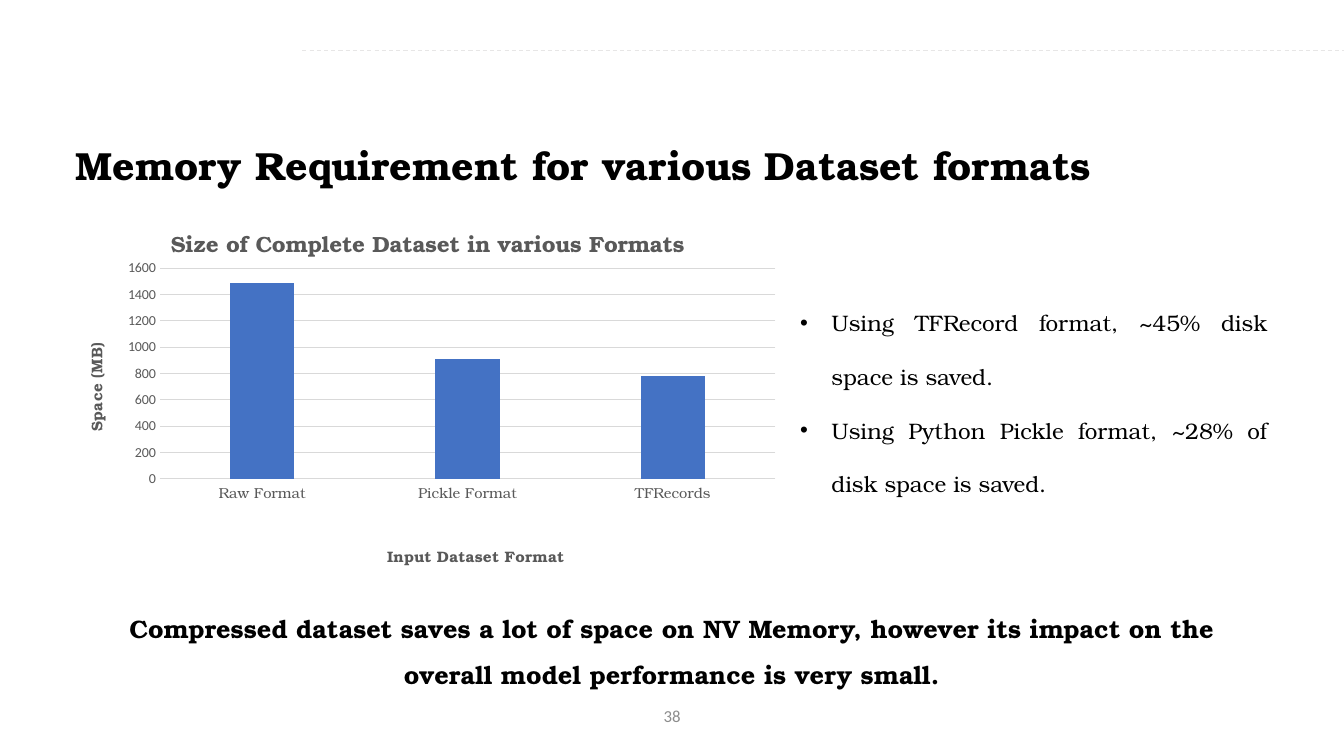
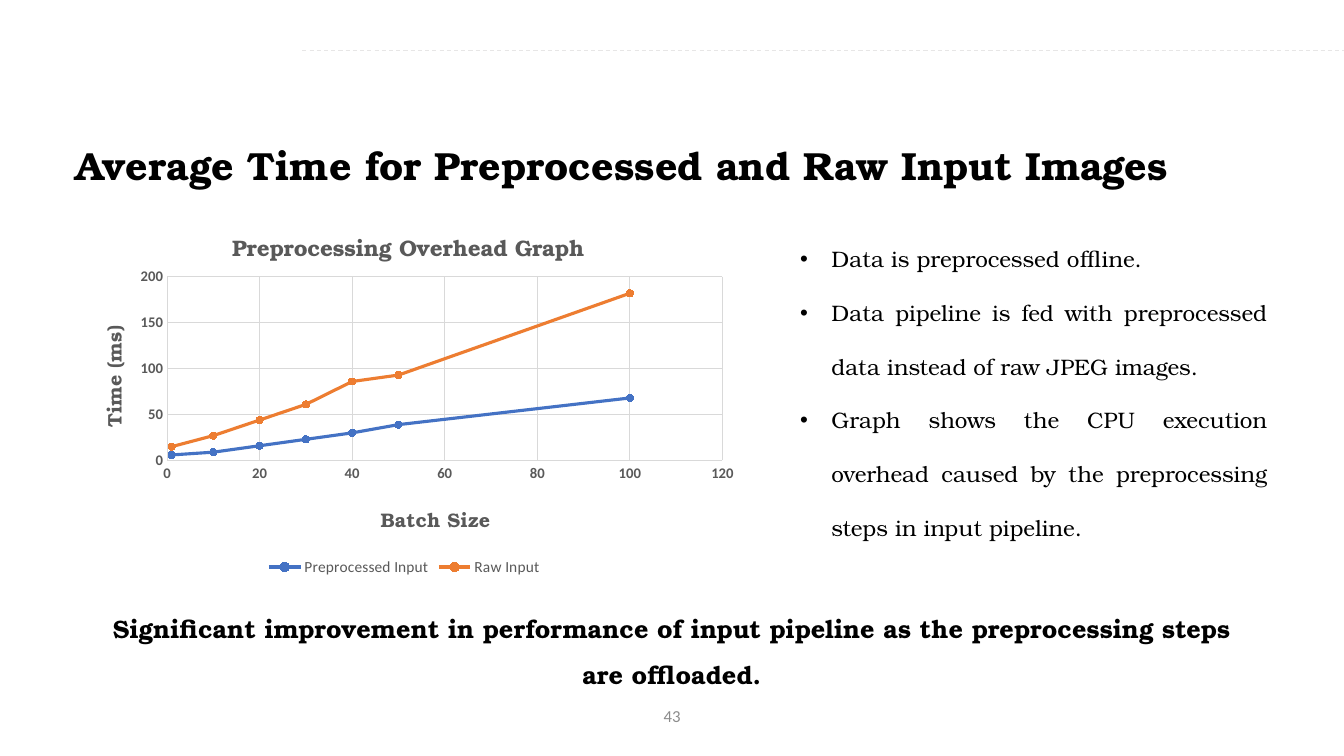
from lxml import etree
from pptx import Presentation
from pptx import util as u
from pptx.chart import data
from pptx.dml.color import RGBColor
from pptx.enum import chart as charts
from pptx.enum import dml, shapes, text
from pptx.oxml import ns

BLACK, GRAY, PALE = "000000", "595959", "D9D9D9"
RULE, NUMBER = "E7E6E6", "8C8C8C"
BLUE, ORANGE = "4472C4", "ED7D31"
SERIF, SANS = "TeX Gyre Bonum", "Calibri"


def color(value):
    return RGBColor.from_string(value)


def box(left, top, width, height):
    return u.Cm(left), u.Cm(top), u.Cm(width), u.Cm(height)


def set_layout(parent, **fractions):
    """Place a chart part by fractions (x, y, w, h) of the chart."""
    layout = parent.find(ns.qn("c:layout"))
    if layout is None:
        layout = etree.Element(ns.qn("c:layout"))
        parent.insert(0, layout)
    manual = etree.SubElement(layout, ns.qn("c:manualLayout"))
    settings = {"layoutTarget": "inner"} if "w" in fractions else {}
    settings.update(xMode="edge", yMode="edge", **fractions)
    for name, value in settings.items():
        etree.SubElement(manual, ns.qn("c:" + name)).set("val", str(value))


class Deck:
    """Holds the shared style and the current slide."""

    def __init__(self):
        self.presentation = Presentation()
        self.presentation.slide_width = u.Cm(33.87)
        self.presentation.slide_height = u.Cm(19.05)
        self.slide = None

    # Text
    def font(self, font, size, hex_color=BLACK, bold=False, name=SERIF):
        font.name, font.size, font.bold = name, u.Pt(size), bold
        font.color.rgb = color(hex_color)

    def add_text(self, frame, lines, size, align, spacing=1.0, **style):
        frame.word_wrap = True
        frame.auto_size = text.MSO_AUTO_SIZE.NONE
        frame.vertical_anchor = text.MSO_ANCHOR.TOP
        for index, line in enumerate(lines):
            paragraph = frame.add_paragraph() if index else frame.paragraphs[0]
            paragraph.alignment = align
            paragraph.line_spacing = spacing
            paragraph.space_before = u.Pt(0)
            run = paragraph.add_run()
            run.text = line
            self.font(run.font, size, **style)

    def move(self, shape, position):
        shape.left, shape.top, shape.width, shape.height = position

    def text_box(self, position, line, size, **style):
        shape = self.slide.shapes.add_textbox(*position)
        self.add_text(shape.text_frame, [line], size, text.PP_ALIGN.CENTER, **style)

    # Slide frame: rule, title, conclusion and number
    def new_slide(self, title, conclusion, number):
        layout = self.presentation.slide_layouts[1]
        self.slide = self.presentation.slides.add_slide(layout)
        self.rule()
        shape = self.slide.shapes.title
        self.move(shape, box(1.65, 1.65, 30.12, 2.74))
        self.add_text(shape.text_frame, [title], 28, text.PP_ALIGN.JUSTIFY,
                      spacing=2.5, bold=True)
        self.text_box(box(1.98, 14.96, 29.9, 2.44), conclusion, 18,
                      spacing=1.5, bold=True)
        self.text_box(box(13.13, 17.65, 7.62, 1.02), number, 12,
                      hex_color=NUMBER, name=SANS)

    def rule(self):
        connector = self.slide.shapes.add_connector(
            shapes.MSO_CONNECTOR.STRAIGHT, u.Cm(7.62), u.Cm(1.27),
            self.presentation.slide_width, u.Cm(1.27))
        connector.line.color.rgb = color(RULE)
        connector.line.width = u.Pt(0.75)
        connector.line.dash_style = dml.MSO_LINE.DASH
        etree.SubElement(connector._element.spPr, ns.qn("a:effectLst"))

    def bullets(self, top, height, lines):
        shape = self.slide.placeholders[1]
        self.move(shape, box(19.91, top, 12.29, height))
        self.add_text(shape.text_frame, lines, 16, text.PP_ALIGN.JUSTIFY, spacing=2.0)
        indent = u.Cm(0.79)
        for paragraph in shape.text_frame.paragraphs:
            properties = paragraph._p.get_or_add_pPr()
            properties.set("marL", str(indent))
            properties.set("indent", str(-indent))

    # Charts
    def chart(self, kind, position, chart_data, title, title_at, plot_at):
        chart = self.slide.shapes.add_chart(kind, *position, chart_data).chart
        self.font(chart.font, 10, name=SANS)
        chart.has_title = True
        chart.has_legend = False
        self.chart_title(chart.chart_title, title, 16, title_at)
        set_layout(chart._chartSpace.find(".//" + ns.qn("c:plotArea")), **plot_at)
        chart.plots[0].vary_by_categories = False
        return chart

    def chart_title(self, title, line, size, place):
        run = title.text_frame.paragraphs[0].add_run()
        run.text = line
        self.font(run.font, size, GRAY, bold=True)
        set_layout(title._element, **place)

    def axis(self, axis, title, title_size, place, vertical=False, grid=True, **labels):
        axis.has_title = True
        self.chart_title(axis.axis_title, title, title_size, place)
        axis.major_tick_mark = axis.minor_tick_mark = charts.XL_TICK_MARK.NONE
        self.font(axis.tick_labels.font, hex_color=GRAY, **labels)
        axis.has_major_gridlines = grid
        lines = [axis.major_gridlines.format.line] if grid else []
        if vertical:
            axis.axis_title.text_frame._txBody.bodyPr.set("rot", "-5400000")
            axis.format.line.fill.background()
        else:
            lines.append(axis.format.line)
        for line in lines:
            line.color.rgb = color(PALE)
            line.width = u.Pt(0.75)

    def scale(self, axis, maximum, step):
        axis.minimum_scale, axis.maximum_scale = 0, maximum
        axis.major_unit = step

    def line_series(self, series, hex_color):
        series.smooth = False
        series.format.line.color.rgb = color(hex_color)
        series.format.line.width = u.Pt(2.25)
        marker = series.marker
        marker.style, marker.size = charts.XL_MARKER_STYLE.CIRCLE, 5
        marker.format.fill.solid()
        marker.format.fill.fore_color.rgb = color(hex_color)
        marker.format.line.color.rgb = color(hex_color)

    def legend(self, chart):
        chart.has_legend = True
        chart.legend.position = charts.XL_LEGEND_POSITION.BOTTOM
        chart.legend.include_in_layout = False
        self.font(chart.legend.font, 11, GRAY, name=SANS)


def memory_slide(deck):
    deck.new_slide(
        "Memory Requirement for various Dataset formats",
        "Compressed dataset saves a lot of space on NV Memory, however its "
        "impact on the overall model performance is very small.", "38")
    sizes = data.CategoryChartData()
    sizes.categories = ["Raw Format", "Pickle Format", "TFRecords"]
    sizes.add_series("Series 1", [1490, 910, 780])
    chart = deck.chart(
        charts.XL_CHART_TYPE.COLUMN_CLUSTERED, box(1.65, 5.11, 18.26, 9.32), sizes,
        "Size of Complete Dataset in various Formats", dict(x=0.14, y=0.05),
        dict(x=0.13, y=0.18, w=0.85, h=0.58))
    deck.axis(chart.category_axis, "Input Dataset Format", 11, dict(x=0.44, y=0.93),
              grid=False, size=10.5)
    deck.axis(chart.value_axis, "Space (MB)", 11, dict(x=0.02, y=0.38),
              vertical=True, size=10, name=SANS)
    deck.scale(chart.value_axis, 1600, 200)
    plot = chart.plots[0]
    plot.gap_width, plot.overlap = 219, -27
    fill = plot.series[0].format.fill
    fill.solid()
    fill.fore_color.rgb = color(BLUE)
    deck.bullets(6.99, 5.54, [
        "Using TFRecord format, ~45% disk space is saved.",
        "Using Python Pickle format, ~28% of disk space is saved."])


def time_slide(deck):
    deck.new_slide(
        "Average Time for Preprocessed and Raw Input Images",
        "Significant improvement in performance of input pipeline as the "
        "preprocessing steps are offloaded.", "43")
    batch_sizes = [1, 10, 20, 30, 40, 50, 100]
    times = data.XyChartData()
    for name, values in (("Preprocessed Input", [6, 9, 16, 23, 30, 39, 68]),
                         ("Raw Input", [15, 27, 44, 61, 86, 93, 182])):
        series = times.add_series(name)
        for batch_size, value in zip(batch_sizes, values):
            series.add_data_point(batch_size, value)
    chart = deck.chart(
        charts.XL_CHART_TYPE.XY_SCATTER_LINES, box(1.65, 5.18, 17.07, 9.45), times,
        "Preprocessing Overhead Graph", dict(x=0.24, y=0.05),
        dict(x=0.15, y=0.19, w=0.82, h=0.49))
    labels = dict(size=10.5, bold=True, name=SANS)
    deck.axis(chart.category_axis, "Batch Size", 14, dict(x=0.46, y=0.78), **labels)
    deck.axis(chart.value_axis, "Time (ms)", 14, dict(x=0.04, y=0.31),
              vertical=True, **labels)
    deck.scale(chart.category_axis, 120, 20)
    deck.scale(chart.value_axis, 200, 50)
    for series, hex_color in zip(chart.plots[0].series, (BLUE, ORANGE)):
        deck.line_series(series, hex_color)
    deck.legend(chart)
    deck.bullets(5.38, 8.26, [
        "Data is preprocessed offline.",
        "Data pipeline is fed with preprocessed data instead of raw JPEG images.",
        "Graph shows the CPU execution overhead caused by the preprocessing "
        "steps in input pipeline."])


def main():
    deck = Deck()
    memory_slide(deck)
    time_slide(deck)
    deck.presentation.save("out.pptx")


if __name__ == "__main__":
    main()
